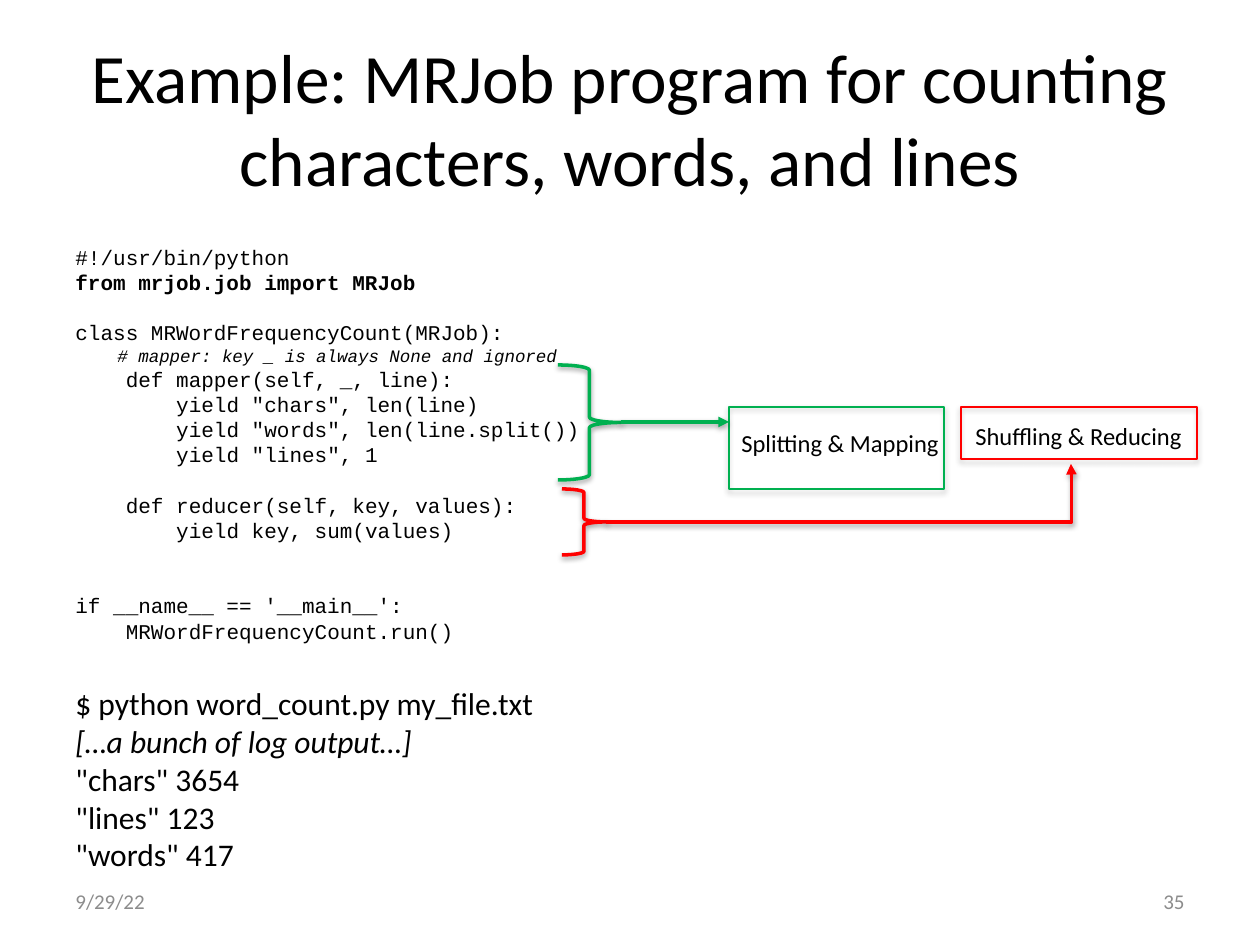
import lxml.etree
import pptx
import pptx.dml.color
import pptx.enum.shapes
import pptx.enum.text
import pptx.oxml.ns
import pptx.util

PX = 914400 // 126
BLACK = pptx.dml.color.RGBColor(0x00, 0x00, 0x00)
GRAY = pptx.dml.color.RGBColor(0x8C, 0x8C, 0x8C)
GREEN = pptx.dml.color.RGBColor(0x00, 0xB0, 0x50)
RED = pptx.dml.color.RGBColor(0xFF, 0x00, 0x00)

LEFT = pptx.enum.text.PP_ALIGN.LEFT
RIGHT = pptx.enum.text.PP_ALIGN.RIGHT
TOP = pptx.enum.text.MSO_ANCHOR.TOP
MIDDLE = pptx.enum.text.MSO_ANCHOR.MIDDLE
BRACE = pptx.enum.shapes.MSO_SHAPE.RIGHT_BRACE
RECTANGLE = pptx.enum.shapes.MSO_SHAPE.RECTANGLE
STRAIGHT = pptx.enum.shapes.MSO_CONNECTOR.STRAIGHT
ELBOW = pptx.enum.shapes.MSO_CONNECTOR.ELBOW

TITLE = "Example: MRJob program for counting characters, words, and lines"

# Each line: text, indent in characters, blank lines above, font changes.
CODE = [
    ("#!/usr/bin/python", 0, 0, {}),
    ("from mrjob.job import MRJob", 0, 0, {"bold": True}),
    ("class MRWordFrequencyCount(MRJob):", 0, 1, {}),
    ("# mapper: key _ is always None and ignored", 4, 0, {"size": 10, "italic": True}),
    ("def mapper(self, _, line):", 4, 0, {}),
    ('yield "chars", len(line)', 8, 0, {}),
    ('yield "words", len(line.split())', 8, 0, {}),
    ('yield "lines", 1', 8, 0, {}),
    ("def reducer(self, key, values):", 4, 1, {}),
    ("yield key, sum(values)", 8, 0, {}),
    ("if __name__ == '__main__':", 0, 2, {}),
    ("MRWordFrequencyCount.run()", 4, 0, {}),
]
OUTPUT = [
    ("$ python word_count.py my_file.txt", 0, 0, {}),
    ("[…a bunch of log output…]", 0, 0, {"italic": True}),
    ('"chars" 3654', 0, 0, {}),
    ('"lines" 123', 0, 0, {}),
    ('"words" 417', 0, 0, {}),
]
SHAPES = [
    (BRACE, (558, 365, 63, 115), GREEN, 2),
    (BRACE, (562, 489, 44, 66), RED, 2),
    (RECTANGLE, (961, 407, 236, 52), RED, 0.75),
    (RECTANGLE, (729, 407, 215, 82), GREEN, 0.75),
]
ARROWS = [
    (STRAIGHT, (621, 422, 729, 422), GREEN),
    (ELBOW, (606, 522, 1071, 464), RED),
]
LABELS = [
    ("Splitting & Mapping", (729, 422, 226, 43), 14, BLACK, LEFT, TOP, False),
    ("Shuffling & Reducing", (963, 415, 234, 43), 14, BLACK, LEFT, TOP, False),
    ("9/29/22", (63, 876, 294, 50), 12, GRAY, LEFT, MIDDLE, True),
    ("35", (903, 876, 294, 50), 12, GRAY, RIGHT, MIDDLE, True),
]


def emu(lengths):
    return [length * PX for length in lengths]


def add_text(slide, lines, box, size, color=BLACK, align=LEFT, anchor=TOP,
             wrap=True, font_name="Calibri"):
    frame = slide.shapes.add_textbox(*emu(box)).text_frame
    frame.word_wrap = wrap
    frame.vertical_anchor = anchor
    for number, (text, indent, blank_lines, changes) in enumerate(lines):
        paragraph = frame.paragraphs[0] if number == 0 else frame.add_paragraph()
        paragraph.text = text
        paragraph.alignment = align
        paragraph.space_before = pptx.util.Pt(blank_lines * size * 1.2)
        font = paragraph.font
        font.name = font_name
        font.size = pptx.util.Pt(changes.get("size", size))
        font.bold = changes.get("bold", False)
        font.italic = changes.get("italic", False)
        font.color.rgb = color
        if indent:
            margin = pptx.util.Pt(indent * 0.6 * font.size.pt)
            paragraph._p.get_or_add_pPr().set("marL", str(margin))


def add_child(parent, tag, **attributes):
    return lxml.etree.SubElement(parent, pptx.oxml.ns.qn(tag), attributes)


def add_shadow(effects, opacity, distance):
    shadow = add_child(effects, "a:outerShdw", blurRad="40000", dist=str(distance),
                       dir="5400000", rotWithShape="0")
    color = add_child(shadow, "a:srgbClr", val="000000")
    add_child(color, "a:alpha", val=str(opacity * 1000))


def add_outline(slide, kind, box, color, width):
    shape = slide.shapes.add_shape(kind, *emu(box))
    shape.fill.background()
    shape.line.color.rgb = color
    shape.line.width = pptx.util.Pt(width)
    shape.shadow.inherit = False
    effects = shape._element.spPr.find(pptx.oxml.ns.qn("a:effectLst"))
    add_shadow(effects, *((38, 20000) if kind == BRACE else (35, 23000)))


def add_arrow(slide, kind, ends, color):
    connector = slide.shapes.add_connector(kind, *emu(ends))
    connector.line.color.rgb = color
    connector.line.width = pptx.util.Pt(2)
    properties = connector._element.spPr
    add_child(connector.line._get_or_add_ln(), "a:tailEnd", type="triangle")
    add_shadow(add_child(properties, "a:effectLst"), 38, 20000)
    if kind == ELBOW:
        adjustments = properties.find(".//" + pptx.oxml.ns.qn("a:avLst"))
        add_child(adjustments, "a:gd", name="adj1", fmla="val 100100")


def main():
    presentation = pptx.Presentation()
    presentation.slide_width, presentation.slide_height = emu((1260, 945))
    slide = presentation.slides.add_slide(presentation.slide_layouts[5])

    title = slide.shapes.title
    title.left, title.top, title.width, title.height = emu((63, 38, 1134, 158))
    frame = title.text_frame
    frame.text = TITLE
    frame.auto_size = pptx.enum.text.MSO_AUTO_SIZE.NONE
    frame.vertical_anchor = MIDDLE
    paragraph = frame.paragraphs[0]
    paragraph.alignment = pptx.enum.text.PP_ALIGN.CENTER
    paragraph.font.name = "Calibri"
    paragraph.font.size = pptx.util.Pt(39.6)
    paragraph.font.color.rgb = BLACK

    add_text(slide, CODE, (63, 238, 980, 420), 12, font_name="Courier New")
    add_text(slide, OUTPUT, (63, 678, 489, 204), 18, wrap=False)
    for kind, box, color, width in SHAPES:
        add_outline(slide, kind, box, color, width)
    for kind, ends, color in ARROWS:
        add_arrow(slide, kind, ends, color)
    for text, *layout in LABELS:
        add_text(slide, [(text, 0, 0, {})], *layout)

    presentation.save("out.pptx")


if __name__ == "__main__":
    main()
